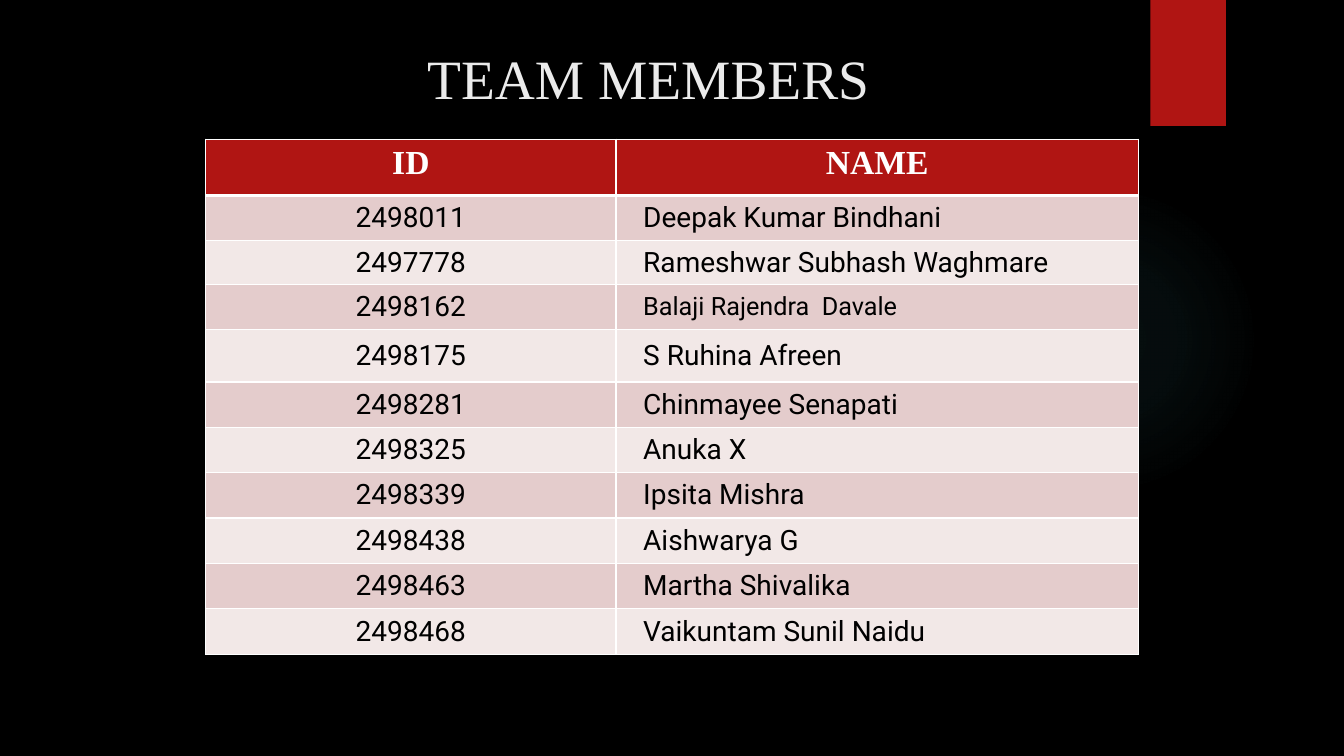
from lxml import etree
from pptx import Presentation, util as u
from pptx.dml.color import RGBColor
from pptx.enum import shapes, text
from pptx.oxml import parse_xml
from pptx.oxml.ns import nsdecls, qn

COLORS = {
    "background": "000000",
    "accent": "B01513",
    "title": "EBEBEB",
    "white": "FFFFFF",
    "ink": "000000",
    "odd_row": "E4CCCC",
    "even_row": "F2E8E7",
    "glow": "50B9C1",
}
HEADERS = ("ID", "NAME")
MEMBERS = [
    ("2498011", "Deepak Kumar Bindhani"),
    ("2497778", "Rameshwar Subhash Waghmare"),
    ("2498162", "Balaji Rajendra  Davale"),
    ("2498175", "S Ruhina Afreen"),
    ("2498281", "Chinmayee Senapati"),
    ("2498325", "Anuka X"),
    ("2498339", "Ipsita Mishra"),
    ("2498438", "Aishwarya G"),
    ("2498463", "Martha Shivalika"),
    ("2498468", "Vaikuntam Sunil Naidu"),
]
COLUMN_WIDTHS = (4.07, 5.18)
ROW_HEIGHT = 0.45
SPECIAL_ROW_HEIGHTS = {0: 0.56, 2: 0.43, 4: 0.52}
SMALL_NAME_ROW = 3


def rgb(name):
    return RGBColor.from_string(COLORS[name])


def style_paragraph(paragraph, font_name, size, color, align, bold=False):
    paragraph.alignment = align
    font = paragraph.font
    font.name, font.size, font.bold = font_name, u.Pt(size), bold
    font.color.rgb = rgb(color)


def add_plain_shape(slide, kind, left, top, width, height):
    shape = slide.shapes.add_shape(kind, *map(u.Inches, (left, top, width, height)))
    shape.shadow.inherit = False
    shape.line.fill.background()
    return shape


def add_glow(slide):
    """Add a circle that fades out from its centre."""
    glow = add_plain_shape(slide, shapes.MSO_SHAPE.OVAL, 9.41, 1.83, 3.08, 3.08)
    stops = "".join(
        f'<a:gs pos="{position * 1000}"><a:srgbClr val="{COLORS["glow"]}">'
        f'<a:alpha val="{opacity * 1000}"/></a:srgbClr></a:gs>'
        for position, opacity in ((0, 7), (36, 6), (69, 0))
    )
    gradient = parse_xml(
        f'<a:gradFill {nsdecls("a")}><a:gsLst>{stops}</a:gsLst><a:path path="circle">'
        '<a:fillToRect l="50000" t="50000" r="50000" b="50000"/></a:path></a:gradFill>'
    )
    glow._element.spPr.find(qn("a:prstGeom")).addnext(gradient)


def add_ribbon(slide):
    ribbon = add_plain_shape(slide, shapes.MSO_SHAPE.RECTANGLE, 11.41, 0, 0.75, 1.25)
    ribbon.fill.solid()
    ribbon.fill.fore_color.rgb = rgb("accent")


def set_title(slide, wording):
    title = slide.shapes.title
    title.left, title.top = u.Inches(1.98), u.Inches(0.32)
    title.width, title.height = u.Inches(8.9), u.Inches(0.62)
    frame = title.text_frame
    frame.text = wording
    frame.auto_size = text.MSO_AUTO_SIZE.NONE
    frame.vertical_anchor = text.MSO_ANCHOR.TOP
    frame.margin_top = u.Inches(0.12)
    style_paragraph(frame.paragraphs[0], "Times New Roman", 39.6, "title", text.PP_ALIGN.CENTER)


def set_borders(cell, top=1, bottom=1):
    properties = cell._tc.get_or_add_tcPr()
    widths = {"lnL": 1, "lnR": 1, "lnT": top, "lnB": bottom}
    for index, (side, width) in enumerate(widths.items()):
        line = etree.Element(qn(f"a:{side}"), w=str(u.Pt(width)))
        fill = etree.SubElement(line, qn("a:solidFill"))
        etree.SubElement(fill, qn("a:srgbClr"), val=COLORS["white"])
        properties.insert(index, line)


def fill_cell(cell, wording, color):
    cell.text = wording
    cell.fill.solid()
    cell.fill.fore_color.rgb = rgb(color)
    return cell.text_frame.paragraphs[0]


def fill_header(table):
    for column, wording in enumerate(HEADERS):
        cell = table.cell(0, column)
        paragraph = fill_cell(cell, wording, "accent")
        style_paragraph(paragraph, "Times New Roman", 24, "white", text.PP_ALIGN.CENTER, True)
        set_borders(cell, bottom=3)


def fill_member(table, row, member):
    for column, wording in enumerate(member):
        cell = table.cell(row, column)
        is_name = column == 1
        paragraph = fill_cell(cell, wording, "odd_row" if row % 2 else "even_row")
        size = 18 if is_name and row == SMALL_NAME_ROW else 20
        align = text.PP_ALIGN.LEFT if is_name else text.PP_ALIGN.CENTER
        style_paragraph(paragraph, "Roboto", size, "ink", align)
        cell.vertical_anchor = text.MSO_ANCHOR.MIDDLE
        cell.margin_top = cell.margin_bottom = 0
        cell.margin_left = u.Inches(0.27 if is_name else 0.07)
        cell.margin_right = u.Inches(0.07)
        set_borders(cell, top=3 if row == 1 else 1)


def add_member_table(slide):
    heights = [SPECIAL_ROW_HEIGHTS.get(row, ROW_HEIGHT) for row in range(len(MEMBERS) + 1)]
    table = slide.shapes.add_table(
        len(heights), len(HEADERS), u.Inches(2.04), u.Inches(1.38),
        u.Inches(sum(COLUMN_WIDTHS)), u.Inches(sum(heights)),
    ).table
    for column, width in zip(table.columns, COLUMN_WIDTHS):
        column.width = u.Inches(width)
    for row, height in zip(table.rows, heights):
        row.height = u.Inches(height)
    fill_header(table)
    for row, member in enumerate(MEMBERS, start=1):
        fill_member(table, row, member)


def main():
    presentation = Presentation()
    presentation.slide_width, presentation.slide_height = u.Inches(13.33), u.Inches(7.5)
    slide = presentation.slides.add_slide(presentation.slide_layouts[5])
    slide.background.fill.solid()
    slide.background.fill.fore_color.rgb = rgb("background")
    add_glow(slide)
    add_ribbon(slide)
    set_title(slide, "TEAM MEMBERS")
    add_member_table(slide)
    presentation.save("out.pptx")


if __name__ == "__main__":
    main()
